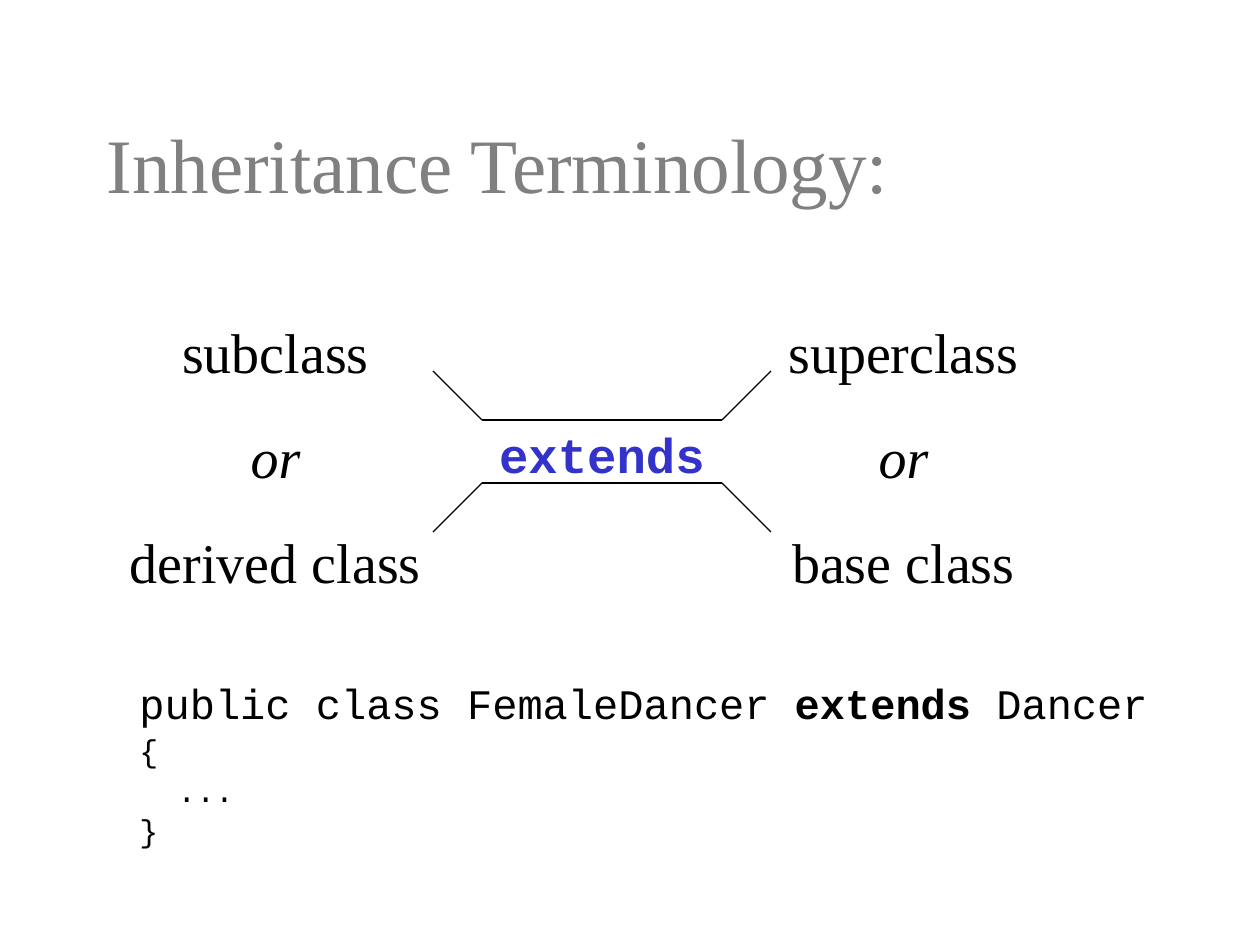
from pptx import Presentation
from pptx import util as u
from pptx.dml.color import RGBColor
from pptx.enum import shapes, text
from pptx.oxml.xmlchemy import OxmlElement

SCALE = 914400 / 126
COLORS = {"title": "808080", "text": "000000", "keyword": "3333CC", "line": "000000"}
SERIF, MONO = "Times New Roman", "Courier New"


def px(value):
    return u.Emu(round(value * SCALE))


def add_run(paragraph, content, font=SERIF, size=32, color="text", bold=False, italic=False):
    run = paragraph.add_run()
    run.text = content
    run.font.name, run.font.size = font, u.Pt(size)
    run.font.bold, run.font.italic = bold, italic
    run.font.color.rgb = RGBColor.from_string(COLORS[color])


def add_text(parent, box, paragraphs, align=text.PP_ALIGN.LEFT, gap=0, top_inset=14):
    shape = parent.shapes.add_textbox(*map(px, box))
    frame = shape.text_frame
    frame.word_wrap = True
    frame.margin_top = px(top_inset)
    for index, runs in enumerate(paragraphs):
        paragraph = frame.add_paragraph() if index else frame.paragraphs[0]
        paragraph.alignment = align
        paragraph.space_before = u.Pt(gap if index else 0)
        for content, style in runs:
            add_run(paragraph, content, **style)
    return shape


def add_line(parent, start, end):
    line = parent.shapes.add_connector(
        shapes.MSO_CONNECTOR.STRAIGHT, *map(px, start + end))
    line.line.color.rgb = RGBColor.from_string(COLORS["line"])
    line.line.width = u.Pt(0.74)
    line._element.spPr.append(OxmlElement("a:effectLst"))


def add_title(slide, box, content):
    title = slide.shapes.title
    title.left, title.top, title.width, title.height = map(px, box)
    frame = title.text_frame
    frame.vertical_anchor = text.MSO_ANCHOR.MIDDLE
    paragraph = frame.paragraphs[0]
    paragraph.alignment = text.PP_ALIGN.LEFT
    add_run(paragraph, content, size=44, color="title")


def add_relation(slide, box, subclass_names, keyword, superclass_names):
    left, top, width, height = box
    group = slide.shapes.add_group_shape()
    center = text.PP_ALIGN.CENTER
    column = 363
    for x, (name, synonym) in ((left, subclass_names),
                               (left + width - column, superclass_names)):
        add_text(group, (x, top, column, height),
                 [[(name, {})], [("or", {"italic": True})], [(synonym, {})]],
                 align=center, gap=21.5)
    add_text(group, (left + 305, top + 107, 406, 72),
             [[(keyword, {"font": MONO, "size": 28, "color": "keyword", "bold": True})]],
             align=center)
    inner_left, inner_right, slope = left + 388, left + 628, 49
    for y, direction in ((top + 116, -1), (top + 179, 1)):
        outer = y + direction * slope
        add_line(group, (inner_left - slope, outer), (inner_left, y))
        add_line(group, (inner_left, y), (inner_right, y))
        add_line(group, (inner_right, y), (inner_right + slope, outer))


def add_code(slide, box):
    large, small = {"font": MONO, "size": 24}, {"font": MONO, "size": 18}
    shape = add_text(slide, box, [
        [("public class FemaleDancer ", large),
         ("extends", {**large, "bold": True}),
         (" Dancer", large)],
        [("{", small)], [("...", small)], [("}", small)]], gap=1.3)
    body = shape.text_frame.paragraphs[2]._p.get_or_add_pPr()
    body.set("marL", str(px(38)))
    body.set("indent", "0")


presentation = Presentation()
presentation.slide_width, presentation.slide_height = px(1260), px(945)
slide = presentation.slides.add_slide(presentation.slide_layouts[5])
add_title(slide, (94, 84, 1071, 158), "Inheritance Terminology:")
add_code(slide, (127, 664, 1038, 176))
add_relation(slide, (94, 304, 991, 387), ("subclass", "derived class"),
             "extends", ("superclass", "base class"))
presentation.save("out.pptx")
